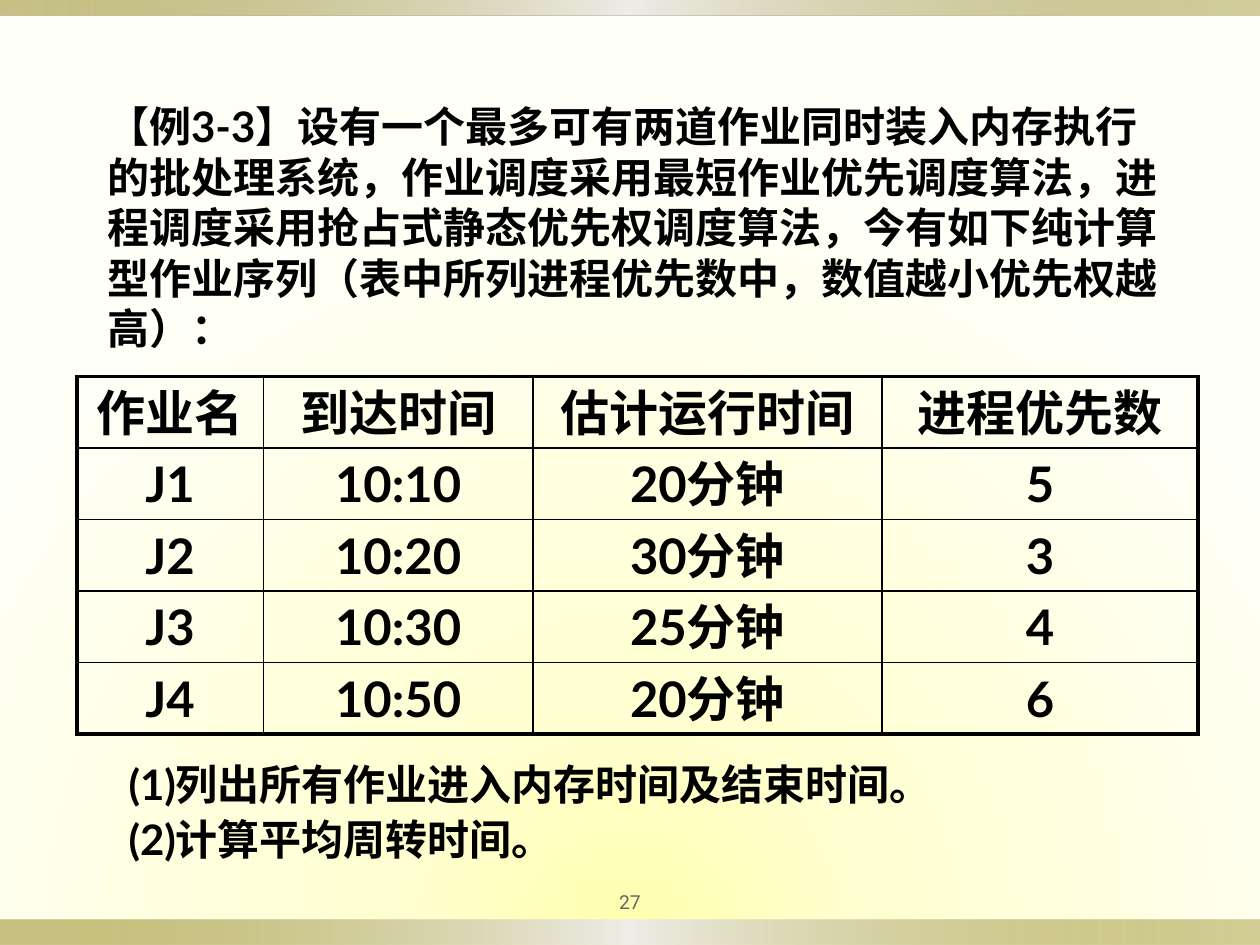
"""Build a slide with a batch scheduling exercise and its job table."""
import dataclasses
import typing

import lxml.etree
import pptx
import pptx.dml.color
import pptx.enum.shapes
import pptx.enum.text
import pptx.oxml
import pptx.oxml.ns
import pptx.util

Inches = pptx.util.Inches
Pt = pptx.util.Pt
ALIGN = pptx.enum.text.PP_ALIGN
ANCHOR = pptx.enum.text.MSO_ANCHOR
BLACK = "000000"
THICK, THIN = 2.25, 1
LINEAR = '<a:lin ang="0" scaled="0"/>'
RADIAL = '<a:path path="circle"><a:fillToRect l="50000" t="150000" r="50000"/></a:path>'


@dataclasses.dataclass
class Frame:
    """Hold a position and size in inches."""
    left: float
    top: float
    width: float
    height: float

    def lengths(self) -> list:
        """Return the four values as lengths."""
        return [Inches(value) for value in dataclasses.astuple(self)]


@dataclasses.dataclass
class Stop:
    """Hold a gradient stop with percentages."""
    position: int
    color: str
    alpha: int = 100


@dataclasses.dataclass
class TextStyle:
    """Hold the look of a paragraph."""
    size: float
    latin: str
    east_asian: str
    color: str = BLACK
    bold: bool = True
    align: typing.Any = ALIGN.LEFT


BODY = TextStyle(24, "Lato", "Noto Sans CJK SC")
CELL = TextStyle(28, "Lato", "Lato", align=ALIGN.CENTER)
NUMBER = TextStyle(11, "Roboto", "Roboto", "636363", False, ALIGN.CENTER)

BARS = [Frame(0, 7.3, 10, 0.2), Frame(0, 0, 10, 0.12)]
BAR_STOPS = [Stop(0, "918415", 50), Stop(50, "EEEDE8"), Stop(100, "918415", 40)]
PAGE_STOPS = [Stop(0, "FFFFAC"), Stop(31, "FFFFD2"), Stop(100, "FFFFF7")]

PROBLEM = (
    "【例3-3】设有一个最多可有两道作业同时装入内存执行的批处理系统，"
    "作业调度采用最短作业优先调度算法，进程调度采用抢占式静态优先权调度算法，"
    "今有如下纯计算型作业序列（表中所列进程优先数中，数值越小优先权越高）："
)
QUESTIONS = ["(1)列出所有作业进入内存时间及结束时间。", "(2)计算平均周转时间。"]
COLUMN_WIDTHS = [1.48, 2.14, 2.77, 2.51]
JOBS = [
    ["作业名", "到达时间", "估计运行时间", "进程优先数"],
    ["J1", "10:10", "20分钟", "5"],
    ["J2", "10:20", "30分钟", "3"],
    ["J3", "10:30", "25分钟", "4"],
    ["J4", "10:50", "20分钟", "6"],
]


def rgb(color: str) -> pptx.dml.color.RGBColor:
    """Turn a hex string into a colour."""
    return pptx.dml.color.RGBColor.from_string(color)


def set_gradient(owner: typing.Any, stops: list[Stop], direction: str) -> None:
    """Replace the first solid fill below an element with a gradient."""
    solid = owner.find(".//" + pptx.oxml.ns.qn("a:solidFill"))
    marks = "".join(
        f'<a:gs pos="{stop.position * 1000}"><a:srgbClr val="{stop.color}">'
        f'<a:alpha val="{stop.alpha * 1000}"/></a:srgbClr></a:gs>'
        for stop in stops
    )
    gradient = pptx.oxml.parse_xml(
        f'<a:gradFill {pptx.oxml.ns.nsdecls("a")} rotWithShape="1">'
        f"<a:gsLst>{marks}</a:gsLst>{direction}</a:gradFill>"
    )
    solid.getparent().replace(solid, gradient)


def style_paragraph(para: typing.Any, style: TextStyle) -> None:
    """Apply a text style to a whole paragraph."""
    para.alignment = style.align
    font = para.font
    font.size, font.bold, font.name = Pt(style.size), style.bold, style.latin
    font.color.rgb = rgb(style.color)
    defaults = para._p.pPr.find(pptx.oxml.ns.qn("a:defRPr"))
    latin = defaults.find(pptx.oxml.ns.qn("a:latin"))
    east_asian = lxml.etree.Element(pptx.oxml.ns.qn("a:ea"), typeface=style.east_asian)
    latin.addnext(east_asian)


def fill_placeholder(box: typing.Any, frame: Frame, lines: list[str], gap: float) -> None:
    """Place a placeholder and write unbulleted lines into it."""
    box.left, box.top, box.width, box.height = frame.lengths()
    text = box.text_frame
    text.text = "\n".join(lines)
    text.word_wrap = True
    text.auto_size = pptx.enum.text.MSO_AUTO_SIZE.NONE
    text.vertical_anchor = ANCHOR.TOP
    for index, para in enumerate(text.paragraphs):
        properties = para._p.get_or_add_pPr()
        properties.set("marL", "0")
        properties.set("indent", "0")
        lxml.etree.SubElement(properties, pptx.oxml.ns.qn("a:buNone"))
        para.line_spacing = Pt(28.8)
        para.space_before = Pt(gap if index else 0)
        style_paragraph(para, BODY)


def add_bar(page: typing.Any, frame: Frame) -> None:
    """Draw a gradient bar along a page edge."""
    bar = page.shapes.add_shape(pptx.enum.shapes.MSO_SHAPE.RECTANGLE, *frame.lengths())
    bar.shadow.inherit = False
    bar.fill.solid()
    bar.fill.fore_color.rgb = rgb(BAR_STOPS[0].color)
    bar.line.fill.background()
    set_gradient(bar._element.spPr, BAR_STOPS, LINEAR)


def add_page_number(page: typing.Any, frame: Frame, number: str) -> None:
    """Write the page number."""
    box = page.shapes.add_textbox(*frame.lengths())
    text = box.text_frame
    text.word_wrap = True
    text.vertical_anchor = ANCHOR.MIDDLE
    text.margin_left = text.margin_right = Inches(0.05)
    text.text = number
    style_paragraph(text.paragraphs[0], NUMBER)


def set_borders(cell: typing.Any, widths: dict[str, float]) -> None:
    """Draw the four borders of a cell."""
    properties = cell._tc.get_or_add_tcPr()
    for side, width in widths.items():
        properties.append(pptx.oxml.parse_xml(
            f'<a:ln{side} {pptx.oxml.ns.nsdecls("a")} w="{Pt(width)}">'
            f'<a:solidFill><a:srgbClr val="{BLACK}"/></a:solidFill></a:ln{side}>'
        ))


def add_job_table(page: typing.Any, frame: Frame) -> None:
    """Draw the job table with a thick outer border."""
    last_row, last_column = len(JOBS) - 1, len(COLUMN_WIDTHS) - 1
    table = page.shapes.add_table(last_row + 1, last_column + 1, *frame.lengths()).table
    table.first_row = table.horz_banding = False
    for column, width in zip(table.columns, COLUMN_WIDTHS):
        column.width = Inches(width)
    for row, values in enumerate(JOBS):
        for column, value in enumerate(values):
            cell = table.cell(row, column)
            cell.text = value
            style_paragraph(cell.text_frame.paragraphs[0], CELL)
            outer = {"L": column == 0, "R": column == last_column,
                     "T": row == 0, "B": row == last_row}
            set_borders(cell, {side: THICK if edge else THIN for side, edge in outer.items()})
            cell.fill.background()


def main() -> None:
    """Build and save the deck."""
    deck = pptx.Presentation()
    deck.slide_width, deck.slide_height = Inches(10), Inches(7.5)
    page = deck.slides.add_slide(deck.slide_layouts[1])
    page.background.fill.solid()
    page.background.fill.fore_color.rgb = rgb(PAGE_STOPS[-1].color)
    set_gradient(page._element.cSld, PAGE_STOPS, RADIAL)
    for bar in BARS:
        add_bar(page, bar)
    add_page_number(page, Frame(4.5, 7, 1, 0.31), "27")
    fill_placeholder(page.shapes.title, Frame(0.75, 0.75, 8.67, 2.1), [PROBLEM], 0)
    fill_placeholder(page.placeholders[1], Frame(0.92, 5.97, 8.17, 0.94), QUESTIONS, 2.4)
    add_job_table(page, Frame(0.61, 2.99, 8.9, 2.83))
    deck.save("out.pptx")


if __name__ == "__main__":
    main()
